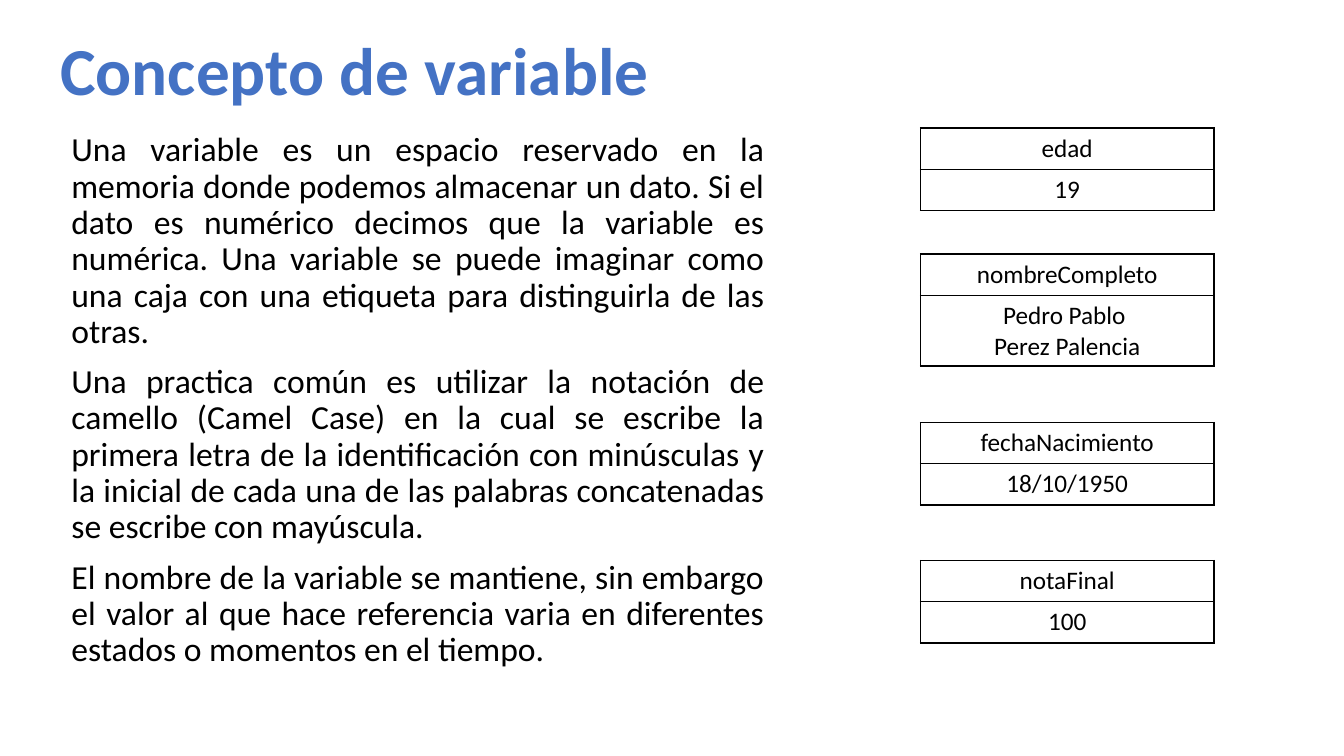
from lxml import etree
from pptx import Presentation
from pptx.dml.color import RGBColor
from pptx.enum.text import MSO_ANCHOR as Anchor, PP_ALIGN as Align
from pptx.oxml.ns import qn
from pptx.util import Inches, Pt

BLUE = RGBColor(0x44, 0x72, 0xC4)
BLACK = RGBColor(0x00, 0x00, 0x00)
FONT = "Calibri"
ROW_HEIGHT = 0.41

TITLE = "Concepto de variable"
EXPLANATION = [
    "Una variable es un espacio reservado en la memoria donde podemos almacenar un dato. "
    "Si el dato es numérico decimos que la variable es numérica. Una variable se puede "
    "imaginar como una caja con una etiqueta para distinguirla de las otras. ",
    "Una practica común es utilizar la notación de camello (Camel Case) en la cual se "
    "escribe la primera letra de la identificación con minúsculas y la inicial de cada una "
    "de las palabras concatenadas se escribe con mayúscula.",
    "El nombre de la variable se mantiene, sin embargo el valor al que hace referencia "
    "varia en diferentes estados o momentos en el tiempo. ",
]
VARIABLES = [
    (1.27, "edad", ["19"]),
    (2.52, "nombreCompleto", ["Pedro Pablo ", "Perez Palencia"]),
    (4.19, "fechaNacimiento", ["18/10/1950"]),
    (5.56, "notaFinal", ["100"]),
]


def write_text(frame, lines, size=18, color=BLACK, bold=False, align=Align.LEFT,
               line_spacing=1.0, space_before=0):
    """Fill a text frame with one formatted paragraph per line."""
    for index, line in enumerate(lines):
        paragraph = frame.paragraphs[0] if index == 0 else frame.add_paragraph()
        paragraph.alignment = align
        paragraph.line_spacing = line_spacing
        paragraph.space_before = Pt(space_before)
        run = paragraph.add_run()
        run.text = line
        run.font.name = FONT
        run.font.size = Pt(size)
        run.font.bold = bold
        run.font.color.rgb = color


def add_text_box(slide, left, top, width, height, lines, anchor=Anchor.TOP, **text_format):
    """Add a wrapping text box."""
    box = slide.shapes.add_textbox(Inches(left), Inches(top), Inches(width), Inches(height))
    frame = box.text_frame
    frame.word_wrap = True
    frame.vertical_anchor = anchor
    write_text(frame, lines, **text_format)


def set_borders(cell, color=BLACK, width=1):
    """Draw a solid border on the four sides of a cell."""
    properties = cell._tc.get_or_add_tcPr()
    for index, side in enumerate(("a:lnL", "a:lnR", "a:lnT", "a:lnB")):
        line = etree.Element(qn(side), w=str(Pt(width)))
        fill = etree.SubElement(line, qn("a:solidFill"))
        etree.SubElement(fill, qn("a:srgbClr"), val=str(color))
        properties.insert(index, line)


def add_variable(slide, top, name, value):
    """Add a two-row table with the name of a variable over its value."""
    shape = slide.shapes.add_table(2, 1, Inches(9.13), Inches(top),
                                   Inches(2.91), Inches(2 * ROW_HEIGHT))
    table = shape.table
    table.first_row = False
    table.horz_banding = False
    for row, lines in zip(table.rows, ([name], value)):
        row.height = Inches(ROW_HEIGHT)
        cell = row.cells[0]
        cell.fill.background()
        set_borders(cell)
        write_text(cell.text_frame, lines, align=Align.CENTER)


def main():
    """Build the slide and save it."""
    presentation = Presentation()
    presentation.slide_width = Inches(13.33)
    presentation.slide_height = Inches(7.5)
    slide = presentation.slides.add_slide(presentation.slide_layouts[6])
    add_text_box(slide, 0.5, 0.29, 12.01, 0.85, [TITLE], anchor=Anchor.BOTTOM,
                 size=48, color=BLUE, bold=True, line_spacing=0.9)
    add_text_box(slide, 0.61, 1.27, 7.07, 5.83, EXPLANATION, size=24,
                 align=Align.JUSTIFY, line_spacing=0.9, space_before=10)
    for top, name, value in VARIABLES:
        add_variable(slide, top, name, value)
    presentation.save("out.pptx")


if __name__ == "__main__":
    main()
